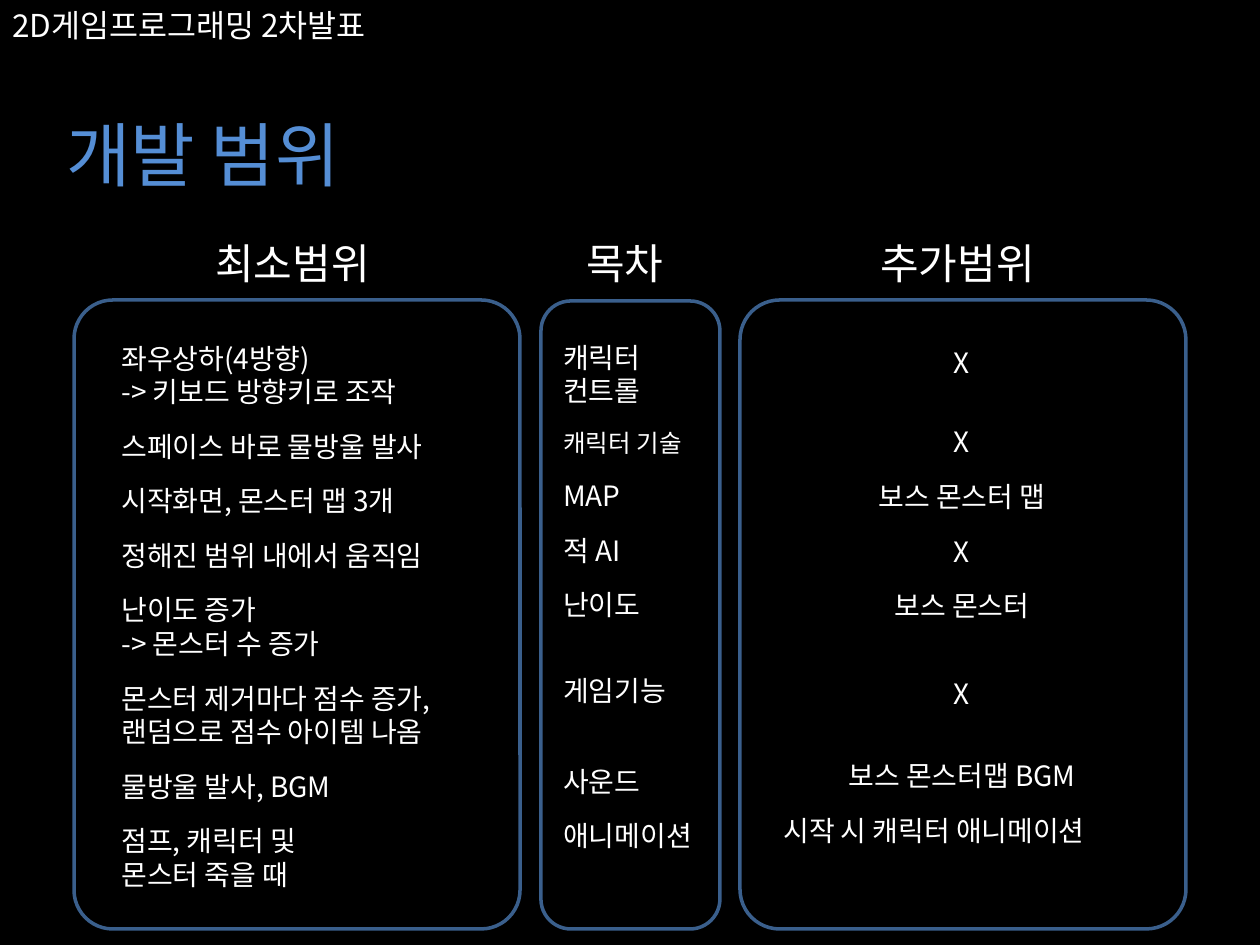
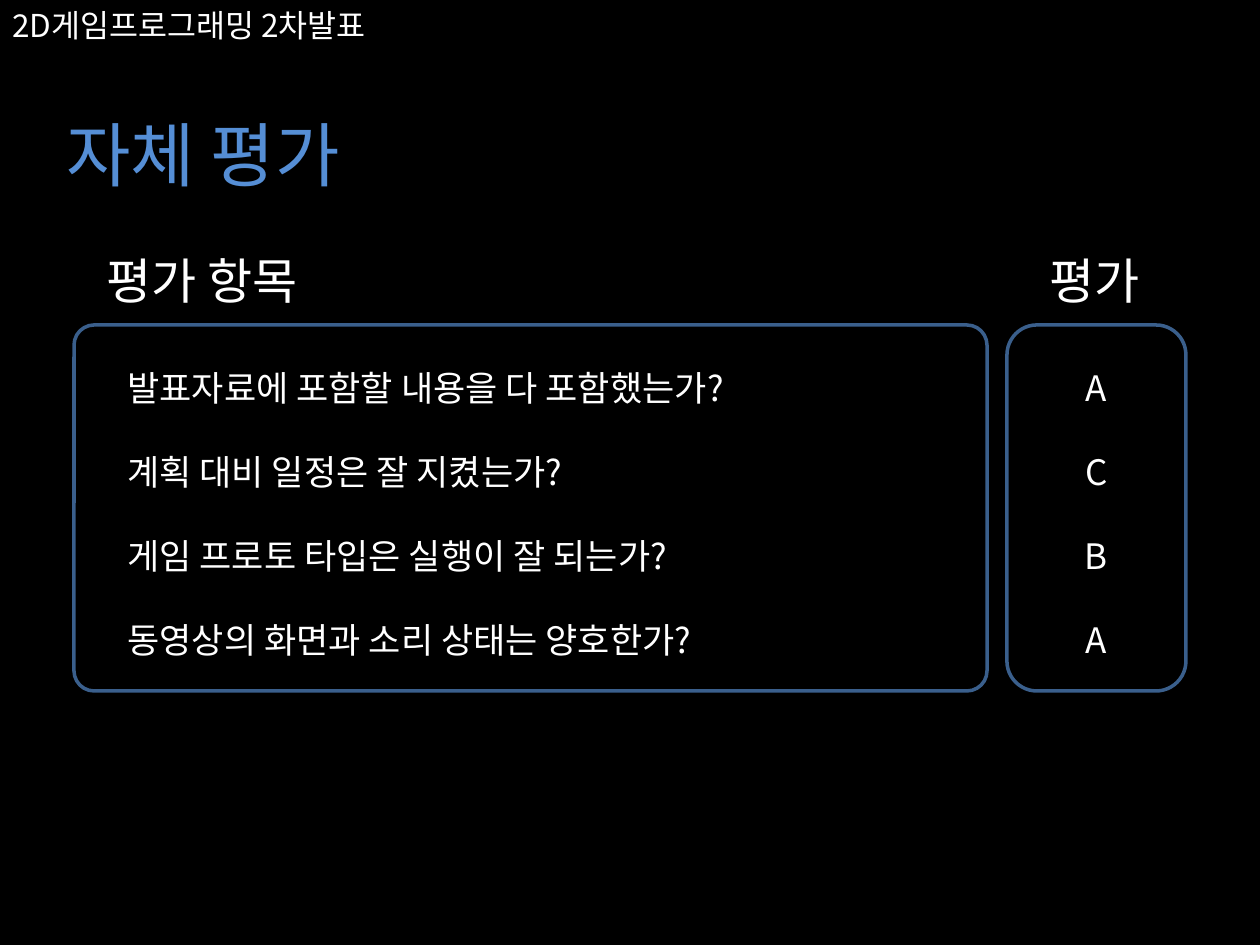
from dataclasses import dataclass
from typing import Optional

from pptx import Presentation
from pptx.dml.color import RGBColor
from pptx.enum.shapes import MSO_SHAPE
from pptx.enum.text import MSO_ANCHOR, MSO_AUTO_SIZE, PP_ALIGN
from pptx.oxml.ns import qn
from pptx.util import Emu, Pt

COLORS = {"background": "000000", "title": "558ED5", "text": "FFFFFF", "border": "3A5F8C"}
FONT = "Noto Sans CJK KR"
PIXELS_PER_INCH = 126
SLIDE_WIDTH, SLIDE_HEIGHT = 1260, 945
TITLE_ONLY = 5
HEADER = "2D게임프로그래밍 2차발표"


@dataclass(frozen=True)
class Box:
    """A rectangle in px."""
    left: int
    top: int
    width: int
    height: int


@dataclass(frozen=True)
class Row:
    """One paragraph with the gap in points above it."""
    text: str
    gap: float = 12
    size: Optional[int] = None
    align: Optional[PP_ALIGN] = None


@dataclass(frozen=True)
class Column:
    """A heading above a rounded panel that holds rows."""
    heading: str
    heading_box: Box
    panel: Box
    rounding: float
    rows_box: Box
    rows: list[Row]
    align: PP_ALIGN = PP_ALIGN.LEFT
    heading_align: PP_ALIGN = PP_ALIGN.LEFT


@dataclass(frozen=True)
class Page:
    """The content of one slide."""
    title: str
    heading_size: int
    row_size: int
    columns: list[Column]


SCOPE_PAGE = Page("개발 범위", 24, 16, [
    Column("최소범위", Box(203, 231, 228, 63), Box(74, 300, 446, 629), 0.087,
           Box(109, 335, 382, 568), [
               Row("좌우상하(4방향)", 0),
               Row("-> 키보드 방향키로 조작", 0),
               Row("스페이스 바로 물방울 발사"),
               Row("시작화면, 몬스터 맵 3개"),
               Row("정해진 범위 내에서 움직임"),
               Row("난이도 증가"),
               Row("-> 몬스터 수 증가", 0),
               Row("몬스터 제거마다 점수 증가, 랜덤으로 점수 아이템 나옴"),
               Row("물방울 발사, BGM"),
               Row("점프, 캐릭터 및"),
               Row("몬스터 죽을 때", 0),
           ]),
    Column("목차", Box(511, 231, 228, 63), Box(541, 301, 179, 628), 0.167,
           Box(551, 334, 166, 537), [
               Row("캐릭터", 0),
               Row("컨트롤", 0),
               Row("캐릭터 기술", size=14),
               Row("MAP"),
               Row("적 AI"),
               Row("난이도"),
               Row("게임기능", 30),
               Row("사운드", 32.4),
               Row("애니메이션"),
           ], heading_align=PP_ALIGN.CENTER),
    Column("추가범위", Box(868, 231, 228, 63), Box(740, 300, 446, 629), 0.089,
           Box(771, 339, 382, 532), [
               Row("X", 0),
               Row("X", 26.4),
               Row("보스 몬스터 맵"),
               Row("X"),
               Row("보스 몬스터"),
               Row("X", 31.2),
               Row("보스 몬스터맵 BGM", 27.6),
               Row("시작 시 캐릭터 애니메이션", align=PP_ALIGN.LEFT),
           ], align=PP_ALIGN.CENTER),
])

QUESTIONS = [
    "발표자료에 포함할 내용을 다 포함했는가?",
    "계획 대비 일정은 잘 지켰는가?",
    "게임 프로토 타입은 실행이 잘 되는가?",
    "동영상의 화면과 소리 상태는 양호한가?",
]


def spaced_rows(texts: list[str], gap: float) -> list[Row]:
    """Return rows with an equal gap between them."""
    return [Row(text, gap if index else 0) for index, text in enumerate(texts)]


REVIEW_PAGE = Page("자체 평가", 28, 20, [
    Column("평가 항목", Box(94, 244, 246, 72), Box(74, 325, 913, 366), 0.055,
           Box(115, 360, 716, 310), spaced_rows(QUESTIONS, 24)),
    Column("평가", Box(1037, 244, 125, 72), Box(1007, 325, 179, 366), 0.167,
           Box(1007, 360, 179, 310), spaced_rows(list("ACBA"), 24), align=PP_ALIGN.CENTER),
])


def px(length: int) -> Emu:
    """Turn px into EMU."""
    return Emu(round(length * 914400 / PIXELS_PER_INCH))


def color(name: str) -> RGBColor:
    """Look up a named colour."""
    return RGBColor.from_string(COLORS[name])


def place(box: Box) -> tuple[Emu, Emu, Emu, Emu]:
    """Return left, top, width and height in EMU."""
    return px(box.left), px(box.top), px(box.width), px(box.height)


def write_text(paragraph, text: str, *, size: int, color_name: str = "text",
               align: PP_ALIGN = PP_ALIGN.LEFT, gap: float = 0) -> None:
    """Write one formatted run into a paragraph."""
    paragraph.alignment = align
    paragraph.space_before = Pt(gap)
    run = paragraph.add_run()
    run.text = text
    run.font.size = Pt(size)
    run.font.name = FONT
    run.font.color.rgb = color(color_name)
    east_asian = run.font._element.makeelement(qn("a:ea"), {"typeface": FONT})
    run.font._element.find(qn("a:latin")).addnext(east_asian)


def prepare_frame(shape):
    """Set wrapping and anchoring and return the text frame."""
    frame = shape.text_frame
    frame.word_wrap = True
    frame.auto_size = MSO_AUTO_SIZE.NONE
    frame.vertical_anchor = MSO_ANCHOR.TOP
    return frame


def add_text(slide, box: Box, rows: list[Row], *, size: int,
             align: PP_ALIGN = PP_ALIGN.LEFT) -> None:
    """Add a text box with one paragraph per row."""
    frame = prepare_frame(slide.shapes.add_textbox(*place(box)))
    for index, row in enumerate(rows):
        paragraph = frame.add_paragraph() if index else frame.paragraphs[0]
        write_text(paragraph, row.text, size=row.size or size,
                   align=row.align or align, gap=row.gap)


def add_title(slide, text: str) -> None:
    """Move the title placeholder and fill it."""
    title = slide.shapes.title
    title.left, title.top, title.width, title.height = place(Box(54, 105, 348, 97))
    write_text(prepare_frame(title).paragraphs[0], text, size=40, color_name="title")


def add_panel(slide, box: Box, rounding: float) -> None:
    """Add an outlined rounded rectangle."""
    shape = slide.shapes.add_shape(MSO_SHAPE.ROUNDED_RECTANGLE, *place(box))
    shape.adjustments[0] = rounding
    shape.shadow.inherit = False
    shape.fill.background()
    shape.line.color.rgb = color("border")
    shape.line.width = Pt(2)


def add_page(presentation, page: Page) -> None:
    """Add one slide with its header, title and columns."""
    slide = presentation.slides.add_slide(presentation.slide_layouts[TITLE_ONLY])
    slide.background.fill.solid()
    slide.background.fill.fore_color.rgb = color("background")
    add_title(slide, page.title)
    add_text(slide, Box(0, 0, 412, 50), [Row(HEADER, 0)], size=18)
    for column in page.columns:
        add_panel(slide, column.panel, column.rounding)
        add_text(slide, column.heading_box, [Row(column.heading, 0)],
                 size=page.heading_size, align=column.heading_align)
        add_text(slide, column.rows_box, column.rows, size=page.row_size, align=column.align)


def main() -> None:
    """Build and save the presentation."""
    presentation = Presentation()
    presentation.slide_width, presentation.slide_height = px(SLIDE_WIDTH), px(SLIDE_HEIGHT)
    for page in (SCOPE_PAGE, REVIEW_PAGE):
        add_page(presentation, page)
    presentation.save("out.pptx")


if __name__ == "__main__":
    main()
